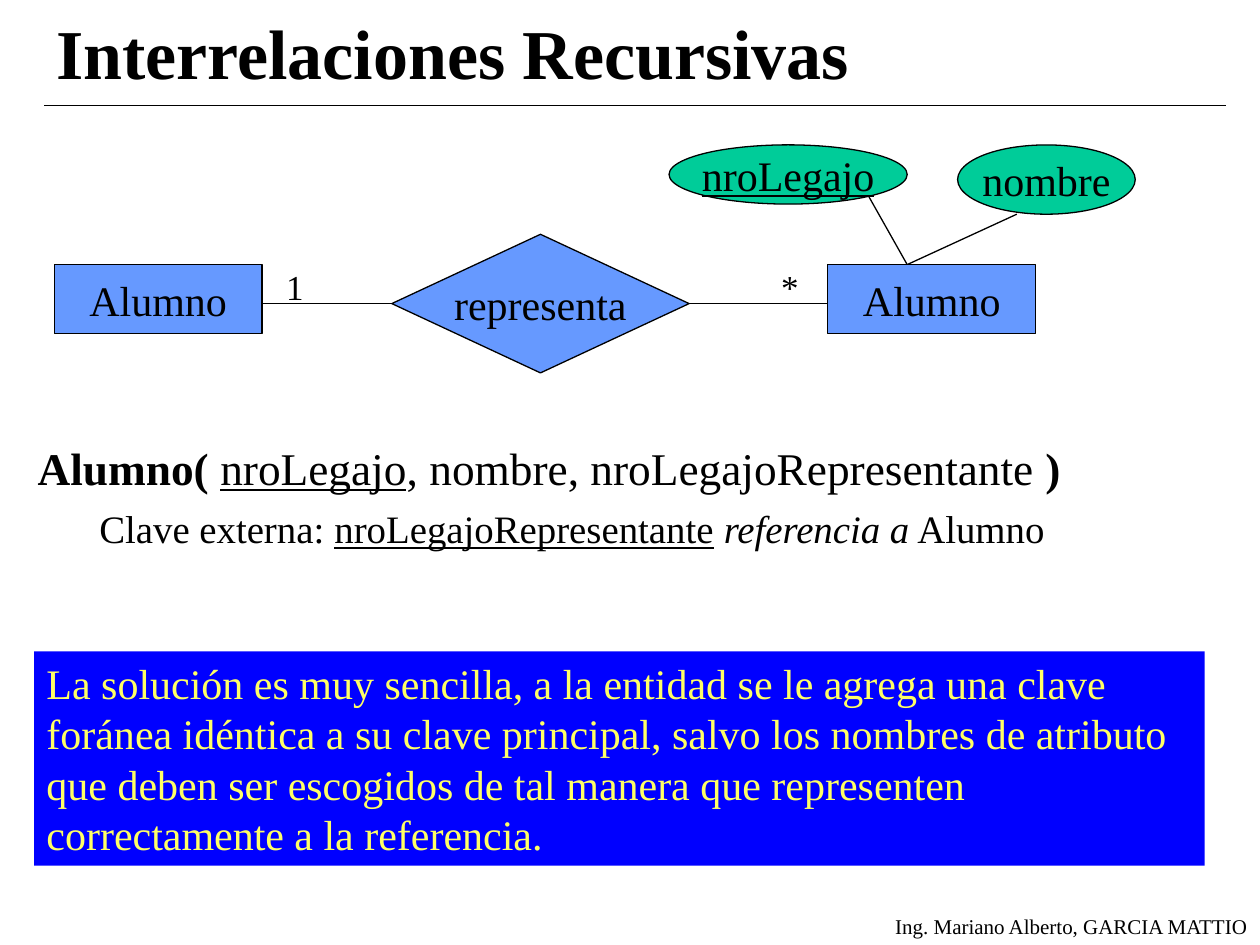
from dataclasses import dataclass
from typing import Optional

from lxml import etree
from pptx import Presentation
from pptx.dml.color import RGBColor
from pptx.enum.shapes import MSO_CONNECTOR, MSO_SHAPE
from pptx.enum.text import MSO_ANCHOR, MSO_AUTO_SIZE, PP_ALIGN
from pptx.oxml.ns import qn
from pptx.util import Inches, Pt

RECT = MSO_SHAPE.RECTANGLE
OVAL = MSO_SHAPE.OVAL
DIAMOND = MSO_SHAPE.FLOWCHART_DECISION
LINE = MSO_CONNECTOR.STRAIGHT
LEFT, CENTER, RIGHT = PP_ALIGN.LEFT, PP_ALIGN.CENTER, PP_ALIGN.RIGHT
TOP, MIDDLE = MSO_ANCHOR.TOP, MSO_ANCHOR.MIDDLE
GROW = MSO_AUTO_SIZE.SHAPE_TO_FIT_TEXT

BLACK = RGBColor(0x00, 0x00, 0x00)
BLUE = RGBColor(0x00, 0x00, 0xFF)
SKY = RGBColor(0x66, 0x99, 0xFF)
GREEN = RGBColor(0x00, 0xCC, 0x99)
YELLOW = RGBColor(0xFF, 0xFF, 0x66)
FONT = "Times New Roman"
STROKE = Pt(0.74)


@dataclass
class Box:
    text: str
    left: float
    top: float
    width: float
    height: float
    size: float = 24
    kind: Optional[MSO_SHAPE] = None
    fill: Optional[RGBColor] = None
    edge: bool = True
    color: RGBColor = BLACK
    align: PP_ALIGN = CENTER
    anchor: MSO_ANCHOR = MIDDLE
    wrap: bool = False
    grow: bool = False
    bold: bool = False
    under: bool = False


@dataclass
class Link:
    x1: float
    y1: float
    x2: float
    y2: float


@dataclass
class Part:
    text: str
    bold: bool = False
    under: bool = False
    slant: bool = False


def style(run, size: float, color: RGBColor, bold: bool, under: bool, slant: bool = False) -> None:
    font = run.font
    font.name = FONT
    font.size = Pt(size)
    font.color.rgb = color
    font.bold = bold
    font.underline = under
    font.italic = slant


def draw_box(slide, box: Box) -> None:
    place = [Inches(n) for n in (box.left, box.top, box.width, box.height)]
    if box.kind is None:
        shape = slide.shapes.add_textbox(*place)
    else:
        shape = slide.shapes.add_shape(box.kind, *place)
        shape.shadow.inherit = False
        shape.fill.solid()
        shape.fill.fore_color.rgb = box.fill
        if box.edge:
            shape.line.color.rgb = BLACK
            shape.line.width = STROKE
        else:
            shape.line.fill.background()
    frame = shape.text_frame
    frame.word_wrap = box.wrap
    frame.vertical_anchor = box.anchor
    if box.grow:
        frame.auto_size = GROW
    frame.text = box.text
    para = frame.paragraphs[0]
    para.alignment = box.align
    style(para.runs[0], box.size, box.color, box.bold, box.under)


def draw_link(slide, link: Link) -> None:
    ends = [Inches(n) for n in (link.x1, link.y1, link.x2, link.y2)]
    line = slide.shapes.add_connector(LINE, *ends)
    line.line.color.rgb = BLACK
    line.line.width = STROKE
    etree.SubElement(line._element.spPr, qn("a:effectLst"))


def fill_para(para, parts: list[Part], size: float, space: float) -> None:
    para.space_before = Pt(space)
    for part in parts:
        run = para.add_run()
        run.text = part.text
        style(run, size, BLACK, part.bold, part.under, part.slant)


def draw_schema(slide) -> None:
    area = slide.shapes.add_textbox(Inches(0.2), Inches(3.44), Inches(9.37), Inches(1.02))
    frame = area.text_frame
    frame.word_wrap = True
    fill_para(frame.paragraphs[0], [
        Part("Alumno( ", bold=True),
        Part("nroLegajo", under=True),
        Part(", nombre, nroLegajoRepresentante "),
        Part(")", bold=True),
    ], 25.9, 7)
    key = frame.add_paragraph()
    key.level = 1
    fill_para(key, [
        Part("Clave externa: "),
        Part("nroLegajoRepresentante", under=True),
        Part(" "),
        Part("referencia a", slant=True),
        Part(" Alumno"),
    ], 22.2, 6)
    props = key._p.get_or_add_pPr()
    props.set("marL", str(Inches(0.78)))
    props.set("indent", str(Inches(-0.29)))


NOTE = ("La solución es muy sencilla, a la entidad se le agrega una clave foránea "
        "idéntica a su clave principal, salvo los nombres de atributo que deben ser "
        "escogidos de tal manera que representen correctamente a la referencia.")

HEADS = [
    Box("Ing. Mariano Alberto, GARCIA MATTIO", 6.97, 7.2, 3.03, 0.3, 12,
        align=RIGHT, anchor=TOP, grow=True),
    Box("Interrelaciones Recursivas", 0.35, 0.13, 9.37, 0.55, 40,
        align=LEFT, wrap=True, bold=True),
]
ENTITIES = [Box("Alumno", x, 2.1, 1.65, 0.55, kind=RECT, fill=SKY) for x in (0.43, 6.57)]
COUNTS = [Box(text, x, 2.06, 0.34, 0.44, 20, anchor=TOP, grow=True)
          for text, x in (("*", 6.1), ("1", 2.17))]
BOXES = [
    *HEADS,
    *ENTITIES,
    Box("representa", 3.11, 1.86, 2.36, 1.1, kind=DIAMOND, fill=SKY),
    *COUNTS,
    Box(NOTE, 0.27, 5.17, 9.29, 1.7, kind=RECT, fill=BLUE, edge=False, color=YELLOW,
        align=LEFT, anchor=TOP, wrap=True, grow=True),
    Box("nombre", 7.6, 1.15, 1.41, 0.55, kind=OVAL, fill=GREEN),
    Box("nroLegajo", 5.31, 1.15, 1.89, 0.47, kind=OVAL, fill=GREEN, under=True),
]
LINKS = [
    Link(2.09, 2.41, 6.57, 2.41),
    Link(0.35, 0.84, 9.73, 0.84),
    Link(7.2, 2.1, 6.89, 1.55),
    Link(7.2, 2.1, 8.07, 1.7),
]

deck = Presentation()
deck.slide_width = Inches(10)
deck.slide_height = Inches(7.5)
slide = deck.slides.add_slide(deck.slide_layouts[6])
for link in LINKS:
    draw_link(slide, link)
draw_schema(slide)
for box in BOXES:
    draw_box(slide, box)
deck.save("out.pptx")
